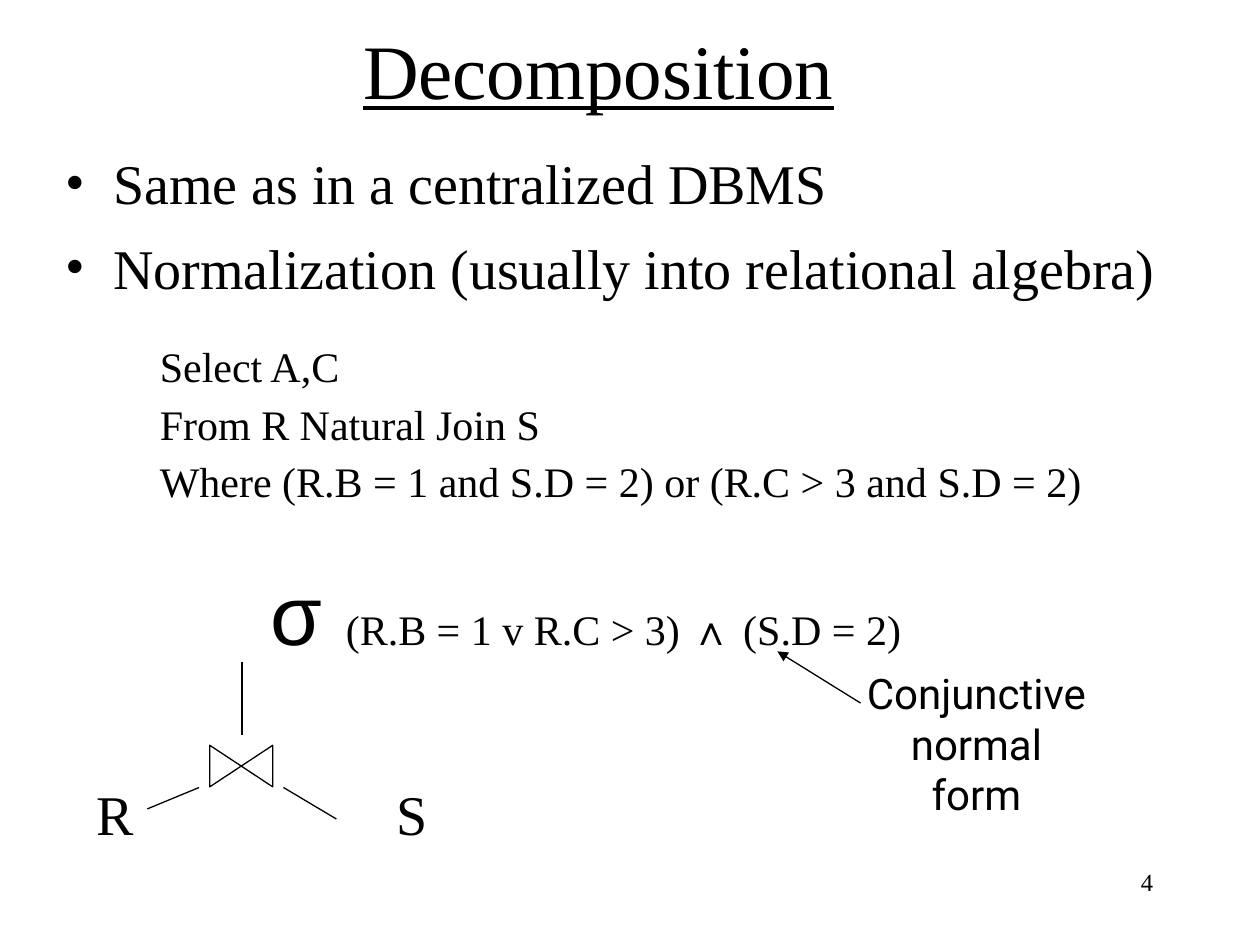
from dataclasses import dataclass

from lxml.etree import SubElement
from pptx import Presentation
from pptx.dml.color import RGBColor
from pptx.enum.shapes import MSO_CONNECTOR, MSO_SHAPE
from pptx.enum.text import MSO_ANCHOR, PP_ALIGN
from pptx.oxml.ns import qn
from pptx.util import Inches, Pt

SERIF, SANS, LABEL = "Times New Roman", "Arial", "Roboto"
BLACK, WHITE = "000000", "FFFFFF"


@dataclass
class Run:
    text: str
    size: float
    font: str = SERIF
    bold: bool = False
    underline: bool = False


@dataclass
class TextBlock:
    box: tuple[float, float, float, float]
    paragraphs: list[list[Run]]
    align: PP_ALIGN = PP_ALIGN.LEFT
    anchor: MSO_ANCHOR = MSO_ANCHOR.TOP
    gap: float = 0
    line_spacing: float = 1.0
    bullet: str = ""


@dataclass
class Line:
    start: tuple[float, float]
    end: tuple[float, float]
    arrow: bool = False


def lines(size: float, *texts: str, **fmt) -> list[list[Run]]:
    """One paragraph of one run for each text."""
    return [[Run(text, size, **fmt)] for text in texts]


BLOCKS = [
    TextBlock((0.5, 0.17, 8.5, 0.75), lines(44, "Decomposition", underline=True),
              PP_ALIGN.CENTER, MSO_ANCHOR.MIDDLE),
    TextBlock((0.42, 1.13, 9.17, 1.35),
              lines(32, "Same as in a centralized DBMS",
                    "Normalization (usually into relational algebra)"),
              gap=10, bullet="•"),
    TextBlock((1.17, 2.7, 8.25, 1.4),
              lines(24, "Select A,C", "From R Natural Join S",
                    "Where (R.B = 1 and S.D = 2) or (R.C > 3 and S.D = 2)"),
              gap=7, line_spacing=0.9),
    TextBlock((2.05, 4.41, 6, 0.85),
              [[Run("σ ", 48, SANS), Run("(R.B = 1 v R.C > 3) ", 24),
                Run("∧", 24, SANS, bold=True), Run(" (S.D = 2)", 24)]]),
    TextBlock((0.67, 6.14, 0.6, 0.6), lines(32, "R")),
    TextBlock((3.05, 6.14, 0.6, 0.6), lines(32, "S")),
    TextBlock((6.75, 5.05, 2, 1.7),
              lines(24, "Conjunctive", "normal", "form", font=LABEL),
              PP_ALIGN.CENTER, MSO_ANCHOR.MIDDLE),
    TextBlock((7.17, 6.83, 2.08, 0.5), lines(14, "4"), PP_ALIGN.RIGHT),
]

LINES = [
    Line((1.92, 5.25), (1.92, 5.83)),
    Line((1.58, 6.25), (1.17, 6.42)),
    Line((2.25, 6.25), (2.67, 6.5)),
    Line((6.83, 5.58), (6.17, 5.17), arrow=True),
]


def color(value: str) -> RGBColor:
    return RGBColor.from_string(value)


def add_bullet(p, char: str) -> None:
    pPr = p._p.get_or_add_pPr()
    pPr.set("marL", str(Inches(0.38)))
    pPr.set("indent", str(Inches(-0.38)))
    SubElement(pPr, qn("a:buFont"), typeface=SERIF)
    SubElement(pPr, qn("a:buChar"), char=char)


def add_text(slide, block: TextBlock) -> None:
    tf = slide.shapes.add_textbox(*map(Inches, block.box)).text_frame
    tf.word_wrap = True
    tf.vertical_anchor = block.anchor
    for i, runs in enumerate(block.paragraphs):
        p = tf.add_paragraph() if i else tf.paragraphs[0]
        p.alignment = block.align
        p.line_spacing = block.line_spacing
        p.space_before = Pt(block.gap if i else 0)
        if block.bullet:
            add_bullet(p, block.bullet)
        for run in runs:
            r = p.add_run()
            r.text = run.text
            fmt = {"name": run.font, "size": Pt(run.size),
                   "bold": run.bold, "underline": run.underline}
            for name, value in fmt.items():
                setattr(r.font, name, value)
            r.font.color.rgb = color(BLACK)


def add_line(slide, line: Line) -> None:
    ends = map(Inches, (*line.start, *line.end))
    cxn = slide.shapes.add_connector(MSO_CONNECTOR.STRAIGHT, *ends)
    cxn.line.color.rgb = color(BLACK)
    cxn.line.width = Pt(0.75)
    if line.arrow:
        SubElement(cxn.line._get_or_add_ln(), qn("a:tailEnd"), type="triangle")
    SubElement(cxn._element.spPr, qn("a:effectLst"))


def add_join_symbol(slide) -> None:
    """Natural join bow tie: a collate shape turned on its side."""
    sp = slide.shapes.add_shape(MSO_SHAPE.FLOWCHART_COLLATE,
                                *map(Inches, (1.75, 5.83, 0.33, 0.5)))
    sp.rotation = 270
    sp.shadow.inherit = False
    sp.fill.solid()
    sp.fill.fore_color.rgb = color(WHITE)
    sp.line.color.rgb = color(BLACK)
    sp.line.width = Pt(0.75)


def main() -> None:
    prs = Presentation()
    prs.slide_width, prs.slide_height = Inches(10), Inches(7.5)
    slide = prs.slides.add_slide(prs.slide_layouts[6])
    for block in BLOCKS:
        add_text(slide, block)
    add_join_symbol(slide)
    for line in LINES:
        add_line(slide, line)
    prs.save("out.pptx")


if __name__ == "__main__":
    main()
